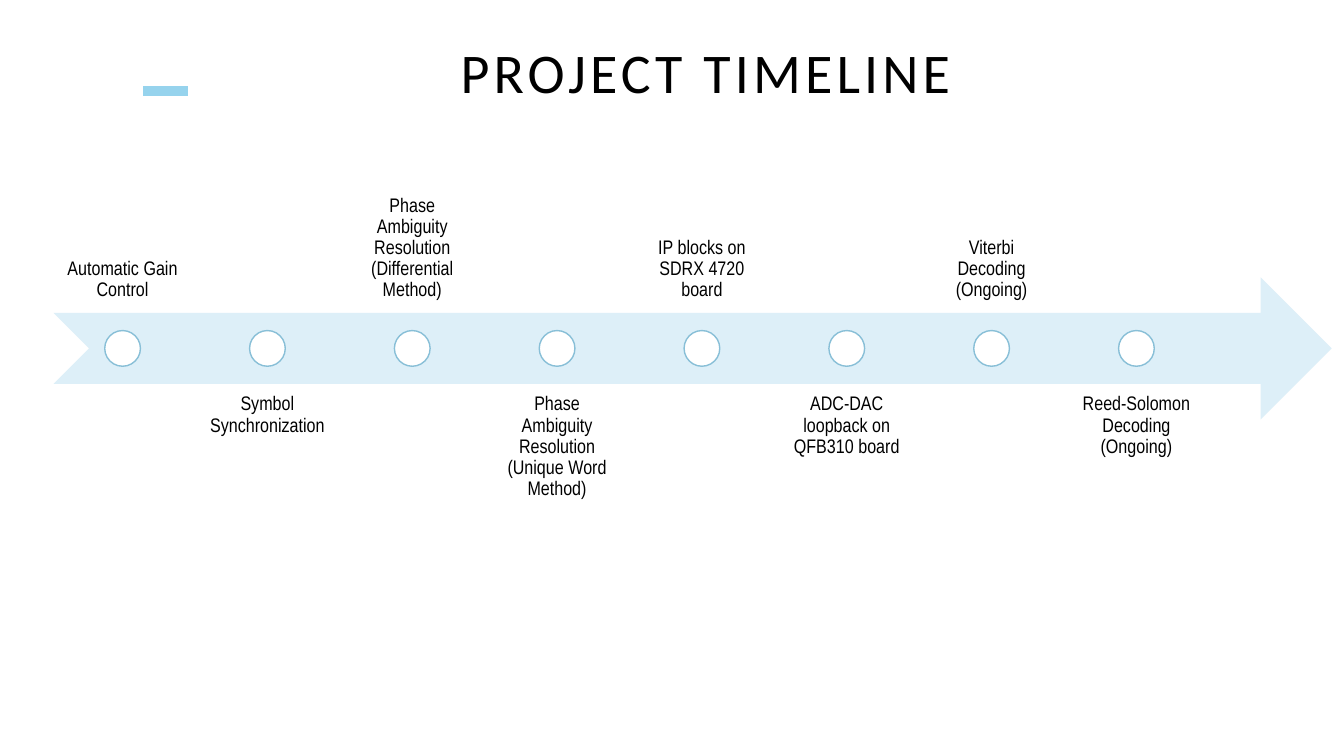
import pptx
import pptx.util
import pptx.dml.color
import pptx.enum.shapes
import pptx.enum.text
import pptx.oxml

Cm = pptx.util.Cm
Pt = pptx.util.Pt
SHAPE = pptx.enum.shapes.MSO_SHAPE
ANCHOR = pptx.enum.text.MSO_ANCHOR
ALIGN = pptx.enum.text.PP_ALIGN

COLOURS = {"text": "000000", "dash": "96D3ED", "arrow": "DDEFF8",
           "dot": "FFFFFF", "ring": "88BFD7"}


def colour(name):
    return pptx.dml.color.RGBColor.from_string(COLOURS[name])


deck = pptx.Presentation()
deck.slide_width, deck.slide_height = Cm(33.87), Cm(19.05)
page = deck.slides.add_slide(deck.slide_layouts[5])

# Accent dash beside the title
dash = page.shapes.add_connector(
    pptx.enum.shapes.MSO_CONNECTOR.STRAIGHT, Cm(3.61), Cm(2.29), Cm(4.75), Cm(2.29))
dash.line.color.rgb = colour("dash")
dash.line.width = Pt(7)
dash._element.spPr.append(pptx.oxml.parse_xml(
    '<a:effectLst xmlns:a="http://schemas.openxmlformats.org/drawingml/2006/main"/>'))

# Title
title = page.shapes.title
title.left, title.top, title.width, title.height = Cm(11.61), Cm(1.14), Cm(13.97), Cm(1.52)
frame = title.text_frame
frame.margin_left = frame.margin_right = frame.margin_top = frame.margin_bottom = 0
frame.vertical_anchor = ANCHOR.MIDDLE
frame.auto_size = pptx.enum.text.MSO_AUTO_SIZE.NONE
para = frame.paragraphs[0]
para.alignment = ALIGN.LEFT
para.line_spacing = 0.9
span = para.add_run()
span.text = "PROJECT TIMELINE"
span.font.name = "Calibri"
span.font.size = Pt(40)
span.font.color.rgb = colour("text")
span.font._element.set("spc", "300")

# Timeline arrow
LEFT, ARROW_TOP, BAND = 1.35, 6.99, 3.58
arrow = page.shapes.add_shape(
    SHAPE.NOTCHED_RIGHT_ARROW, Cm(LEFT), Cm(ARROW_TOP), Cm(32.21), Cm(BAND))
arrow.shadow.inherit = False
arrow.fill.solid()
arrow.fill.fore_color.rgb = colour("arrow")
arrow.line.fill.background()

# Milestones: labels alternate above and below the arrow
milestones = [
    "Automatic Gain Control",
    "Symbol Synchronization",
    "Phase Ambiguity Resolution (Differential Method)",
    "Phase Ambiguity Resolution (Unique Word Method)",
    "IP blocks on SDRX 4720 board",
    "ADC-DAC loopback on QFB310 board",
    "Viterbi Decoding (Ongoing)",
    "Reed-Solomon Decoding (Ongoing)",
]
STEP, LABEL_WIDTH, DOT = 3.65, 3.48, 0.9
for index, milestone in enumerate(milestones):
    left = LEFT + index * STEP
    above = index % 2 == 0

    box = page.shapes.add_textbox(
        Cm(left), Cm(4.29 if above else 9.65), Cm(LABEL_WIDTH), Cm(BAND))
    frame = box.text_frame
    frame.word_wrap = True
    frame.margin_left = frame.margin_right = Cm(0.28)
    frame.margin_top = frame.margin_bottom = Cm(0.28)
    frame.vertical_anchor = ANCHOR.BOTTOM if above else ANCHOR.TOP
    para = frame.paragraphs[0]
    para.text = milestone
    para.alignment = ALIGN.CENTER
    para.line_spacing = 0.9
    para.font.name = "Arial Narrow"
    para.font.size = Pt(14)
    para.font.color.rgb = colour("text")

    dot = page.shapes.add_shape(
        SHAPE.OVAL, Cm(left + (LABEL_WIDTH - DOT) / 2),
        Cm(ARROW_TOP + (BAND - DOT) / 2), Cm(DOT), Cm(DOT))
    dot.shadow.inherit = False
    dot.fill.solid()
    dot.fill.fore_color.rgb = colour("dot")
    dot.line.color.rgb = colour("ring")
    dot.line.width = Pt(1)

deck.save("out.pptx")
